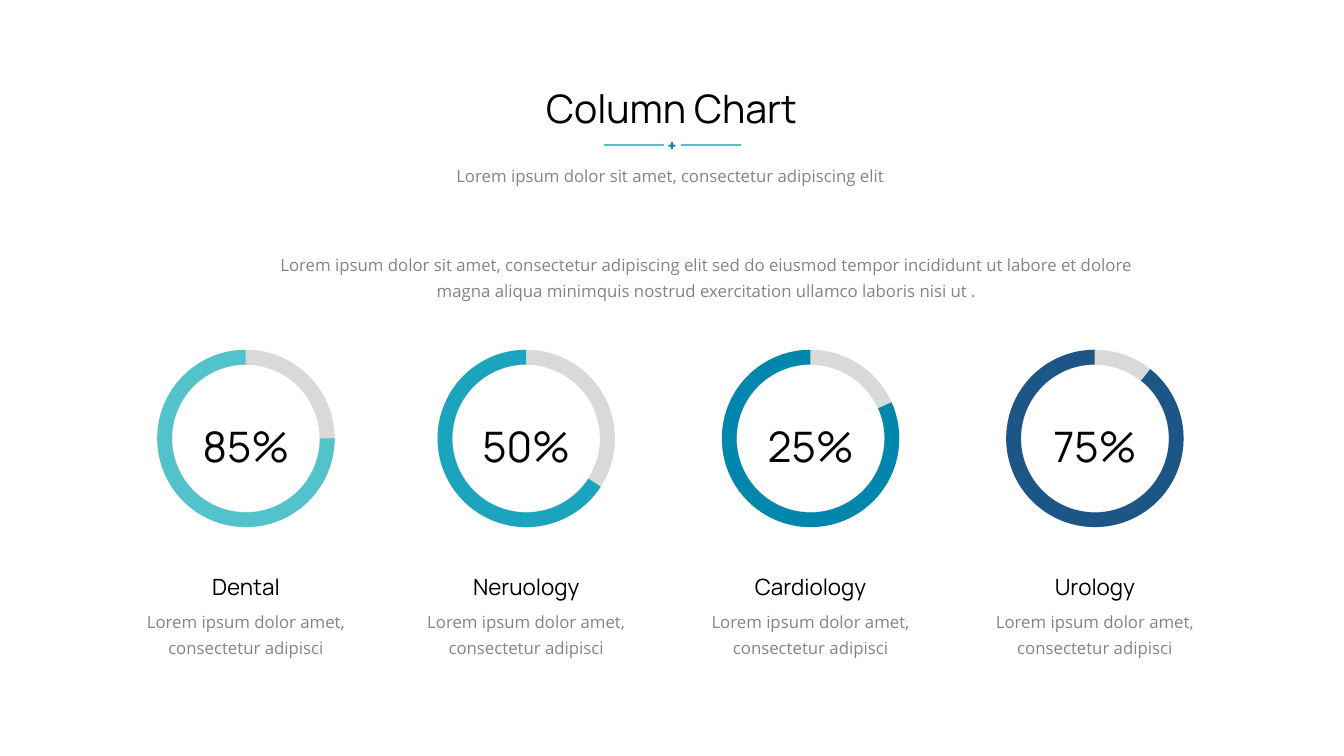
from dataclasses import dataclass

from lxml.etree import SubElement
from pptx import Presentation
from pptx.dml.color import RGBColor
from pptx.enum.shapes import MSO_CONNECTOR, MSO_SHAPE
from pptx.enum.text import MSO_ANCHOR, MSO_AUTO_SIZE, PP_ALIGN
from pptx.oxml.ns import qn
from pptx.shapes.autoshape import Shape
from pptx.slide import Slide
from pptx.util import Emu, Pt

EMU_PER_PX = 9144  # 100 px to the inch
ARC_END = 269.82  # degrees clockwise from three o'clock


@dataclass(frozen=True)
class Theme:
    ink: str = "000000"
    muted: str = "848484"
    track: str = "D9D9D9"
    rule: str = "52C3CB"
    plus: str = "0187AD"
    heading_font: str = "Manrope"
    body_font: str = "Open Sans"
    title_size: int = 28
    percent_size: int = 30
    label_size: int = 16
    body_size: int = 12
    body_spacing: float = 1.3
    rule_width: float = 1.5


@dataclass(frozen=True)
class Box:
    left: int
    top: int
    width: int
    height: int


@dataclass(frozen=True)
class Department:
    name: str
    percent: str
    center: int
    arc_start: float
    color: str


THEME = Theme()
DEPARTMENTS = [
    Department("Dental", "85%", 244, 359.89, "52C3CB"),
    Department("Neruology", "50%", 522, 32.94, "1AA4BE"),
    Department("Cardiology", "25%", 804, 335.95, "0187AD"),
    Department("Urology", "75%", 1086, 308.65, "1C5686"),
]


def px(length: int) -> Emu:
    return Emu(length * EMU_PER_PX)


def place(shape: Shape, box: Box) -> None:
    shape.left, shape.top = px(box.left), px(box.top)
    shape.width, shape.height = px(box.width), px(box.height)


def write(shape: Shape, box: Box, *lines: str, size: int,
          heading: bool = False) -> None:
    """Place a text shape and fill it with centred paragraphs."""
    place(shape, box)
    frame = shape.text_frame
    frame.word_wrap = True
    frame.auto_size = MSO_AUTO_SIZE.SHAPE_TO_FIT_TEXT
    frame.vertical_anchor = MSO_ANCHOR.TOP
    for index, line in enumerate(lines):
        para = frame.add_paragraph() if index else frame.paragraphs[0]
        para.alignment = PP_ALIGN.CENTER
        para.space_before = Pt(0)
        para.line_spacing = 1.0 if heading else THEME.body_spacing
        span = para.add_run()
        span.text = line
        span.font.size = Pt(size)
        span.font.name = THEME.heading_font if heading else THEME.body_font
        color = THEME.ink if heading else THEME.muted
        span.font.color.rgb = RGBColor.from_string(color)


def add_text(page: Slide, box: Box, *lines: str, size: int,
             heading: bool = False) -> None:
    shape = page.shapes.add_textbox(0, 0, 0, 0)
    write(shape, box, *lines, size=size, heading=heading)


def add_filled(page: Slide, kind: MSO_SHAPE, box: Box, color: str,
               *adjustments: float) -> None:
    shape = page.shapes.add_shape(kind, 0, 0, 0, 0)
    place(shape, box)
    shape.shadow.inherit = False
    shape.fill.solid()
    shape.fill.fore_color.rgb = RGBColor.from_string(color)
    shape.line.fill.background()
    for index, value in enumerate(adjustments):
        shape.adjustments[index] = value


def add_rule(page: Slide, left: int, right: int, top: int) -> None:
    rule = page.shapes.add_connector(
        MSO_CONNECTOR.STRAIGHT, px(left), px(top), px(right), px(top))
    rule.line.color.rgb = RGBColor.from_string(THEME.rule)
    rule.line.width = Pt(THEME.rule_width)
    SubElement(rule._element.spPr, qn("a:effectLst"))


def arc_angle(degrees: float) -> float:
    """Convert degrees to the normalised value of an angle adjustment."""
    return degrees * 60000 / 100000


def add_header(page: Slide) -> None:
    write(page.shapes.title, Box(427, 79, 478, 57), "Column Chart",
          size=THEME.title_size, heading=True)
    write(page.placeholders[1], Box(321, 153, 688, 34),
          "Lorem ipsum dolor sit amet, consectetur adipiscing elit",
          size=THEME.body_size)
    for left in (599, 675):
        add_rule(page, left, left + 60, 144)
    add_filled(page, MSO_SHAPE.CROSS, Box(663, 141, 7, 7), THEME.plus, 0.35)
    add_text(page, Box(182, 242, 1038, 60),
             "Lorem ipsum dolor sit amet, consectetur adipiscing elit sed do "
             "eiusmod tempor incididunt ut labore et dolore",
             "magna aliqua minimquis nostrud exercitation ullamco laboris "
             "nisi ut .", size=THEME.body_size)


def add_department(page: Slide, department: Department) -> None:
    def centered(top: int, width: int, height: int) -> Box:
        return Box(department.center - width // 2, top, width, height)

    ring = centered(347, 176, 176)
    add_filled(page, MSO_SHAPE.DONUT, ring, THEME.track, 0.085)
    add_filled(page, MSO_SHAPE.BLOCK_ARC, ring, department.color,
               arc_angle(department.arc_start), arc_angle(ARC_END), 0.083)
    add_text(page, centered(412, 150, 61), department.percent,
             size=THEME.percent_size, heading=True)
    add_text(page, centered(564, 180, 37), department.name,
             size=THEME.label_size, heading=True)
    add_text(page, centered(596, 240, 60),
             "Lorem ipsum dolor amet, consectetur adipisci",
             size=THEME.body_size)


def main() -> None:
    deck = Presentation()
    deck.slide_width, deck.slide_height = px(1333), px(750)
    page = deck.slides.add_slide(deck.slide_layouts[0])
    add_header(page)
    for department in DEPARTMENTS:
        add_department(page, department)
    deck.save("out.pptx")


if __name__ == "__main__":
    main()
